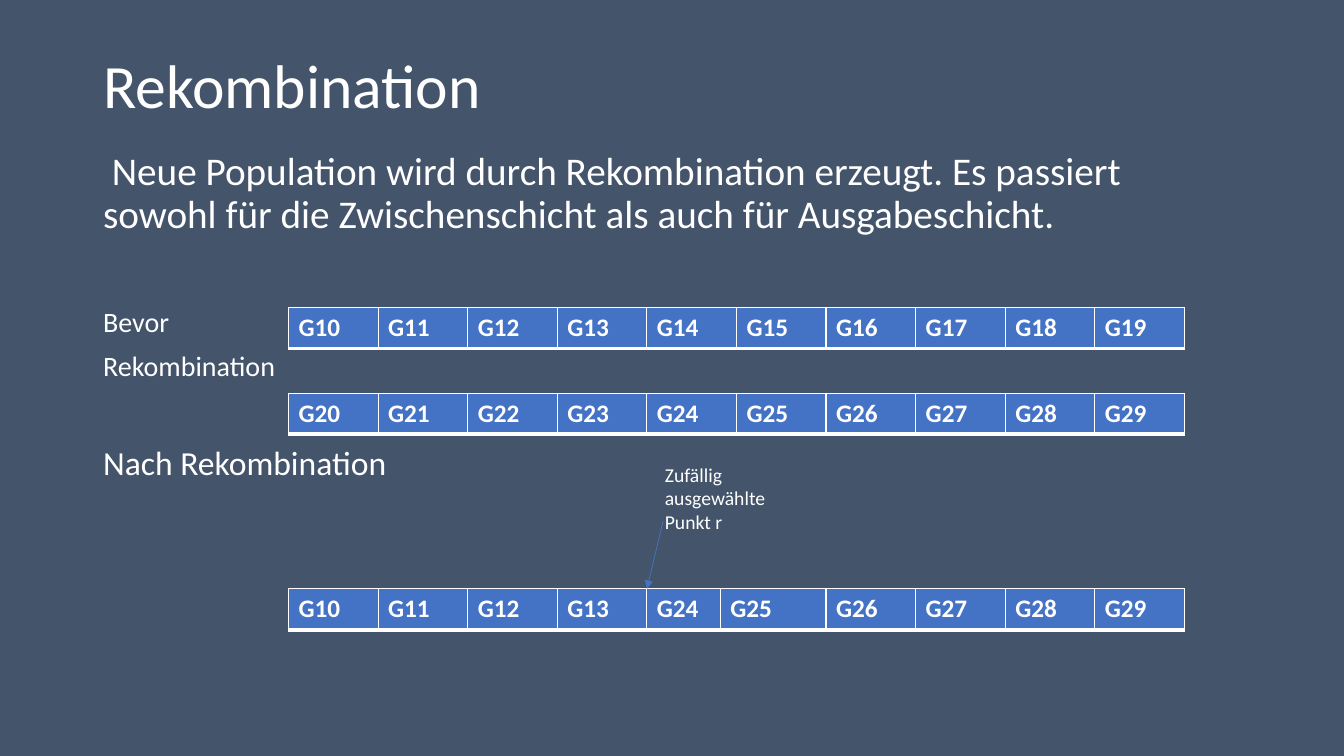
"""Builds the slide on recombination of two gene strings."""
from lxml.etree import SubElement
from pptx import Presentation
from pptx.dml.color import RGBColor
from pptx.enum.shapes import MSO_CONNECTOR
from pptx.enum.text import MSO_ANCHOR
from pptx.oxml.ns import qn
from pptx.util import Inches, Pt

COLORS = {"background": "44546A", "text": "FFFFFF", "gene": "4472C4"}
GRID_COLUMNS, GRID_ROWS = 15, 18


class GeneSlide:
    """Holds the style and the slide; lengths are grid columns and rows."""

    font = "Calibri"
    gene_height = 0.98
    borders = {"a:lnL": 1, "a:lnR": 1, "a:lnT": 1, "a:lnB": 3}

    def __init__(self, deck):
        self.column = deck.slide_width / GRID_COLUMNS
        self.row = deck.slide_height / GRID_ROWS
        self.slide = deck.slides.add_slide(deck.slide_layouts[6])
        backdrop = self.slide.background.fill
        backdrop.solid()
        backdrop.fore_color.rgb = self.color("background")

    def color(self, name):
        return RGBColor.from_string(COLORS[name])

    def place(self, *lengths):
        units = (self.column, self.row) * 2
        return [round(length * unit) for length, unit in zip(lengths, units)]

    def add_words(self, paragraph, words, size, bold=False):
        run = paragraph.add_run()
        run.text = words
        run.font.name = self.font
        run.font.size = Pt(size)
        run.font.bold = bold
        run.font.color.rgb = self.color("text")

    def text(self, area, lines, anchor=MSO_ANCHOR.TOP, spacing=0.9):
        frame = self.slide.shapes.add_textbox(*self.place(*area)).text_frame
        frame.word_wrap = True
        frame.vertical_anchor = anchor
        for index, (words, size, gap) in enumerate(lines):
            paragraph = frame.add_paragraph() if index else frame.paragraphs[0]
            paragraph.line_spacing = spacing
            paragraph.space_before = Pt(gap)
            self.add_words(paragraph, words, size)

    def border(self, cell):
        properties = cell._tc.get_or_add_tcPr()
        for side, width in self.borders.items():
            edge = SubElement(properties, qn(side), w=str(int(Pt(width))))
            paint = SubElement(edge, qn("a:solidFill"))
            SubElement(paint, qn("a:srgbClr"), val=COLORS["text"])

    def genes(self, left, top, names, widths):
        area = self.place(left, top, sum(widths), self.gene_height)
        table = self.slide.shapes.add_table(1, len(names), *area).table
        for index, (name, width) in enumerate(zip(names, widths)):
            table.columns[index].width = round(width * self.column)
            cell = table.cell(0, index)
            self.border(cell)
            cell.fill.solid()
            cell.fill.fore_color.rgb = self.color("gene")
            self.add_words(cell.text_frame.paragraphs[0], name, 18, bold=True)

    def arrow(self, start, end):
        arrow = self.slide.shapes.add_connector(
            MSO_CONNECTOR.STRAIGHT, *self.place(*start, *end))
        arrow.line.color.rgb = self.color("gene")
        arrow.line.width = Pt(0.5)
        SubElement(arrow.line._get_or_add_ln(), qn("a:tailEnd"), type="triangle")
        SubElement(arrow._element.spPr, qn("a:effectLst"))


deck = Presentation()
deck.slide_width, deck.slide_height = Inches(13.33), Inches(7.5)
recombination = GeneSlide(deck)

margin, content_width = 1.04, 12.94
recombination.text((margin, 0.96, content_width, 2.28),
                   [("Rekombination", 44, 0)], MSO_ANCHOR.MIDDLE)
recombination.text((margin, 3.5, content_width, 12.72), [
    (" Neue Population wird durch Rekombination erzeugt. Es passiert "
     "sowohl für die Zwischenschicht als auch für Ausgabeschicht.", 28, 0),
    ("Bevor", 20, 51),
    ("Rekombination", 20, 10),
    ("Nach Rekombination", 24, 46),
])

first_parent, second_parent = (
    [f"G{parent}{gene}" for gene in range(10)] for parent in (1, 2))
cut = 4
child = first_parent[:cut] + second_parent[cut:]
genes_left, child_top = 3.22, 14.02
even_widths = [1] * 10
child_widths = [1] * cut + [0.82, 1.18] + [1] * 4

recombination.genes(genes_left, 7.32, first_parent, even_widths)
recombination.genes(genes_left, 9.36, second_parent, even_widths)
recombination.genes(genes_left, child_top, child, child_widths)
recombination.arrow((7.4, 12.41), (genes_left + cut, child_top))
recombination.text((7.31, 10.9, 1.72, 1.94),
                   [("Zufällig ausgewählte Punkt r", 14, 0)], spacing=1.0)

deck.save("out.pptx")
